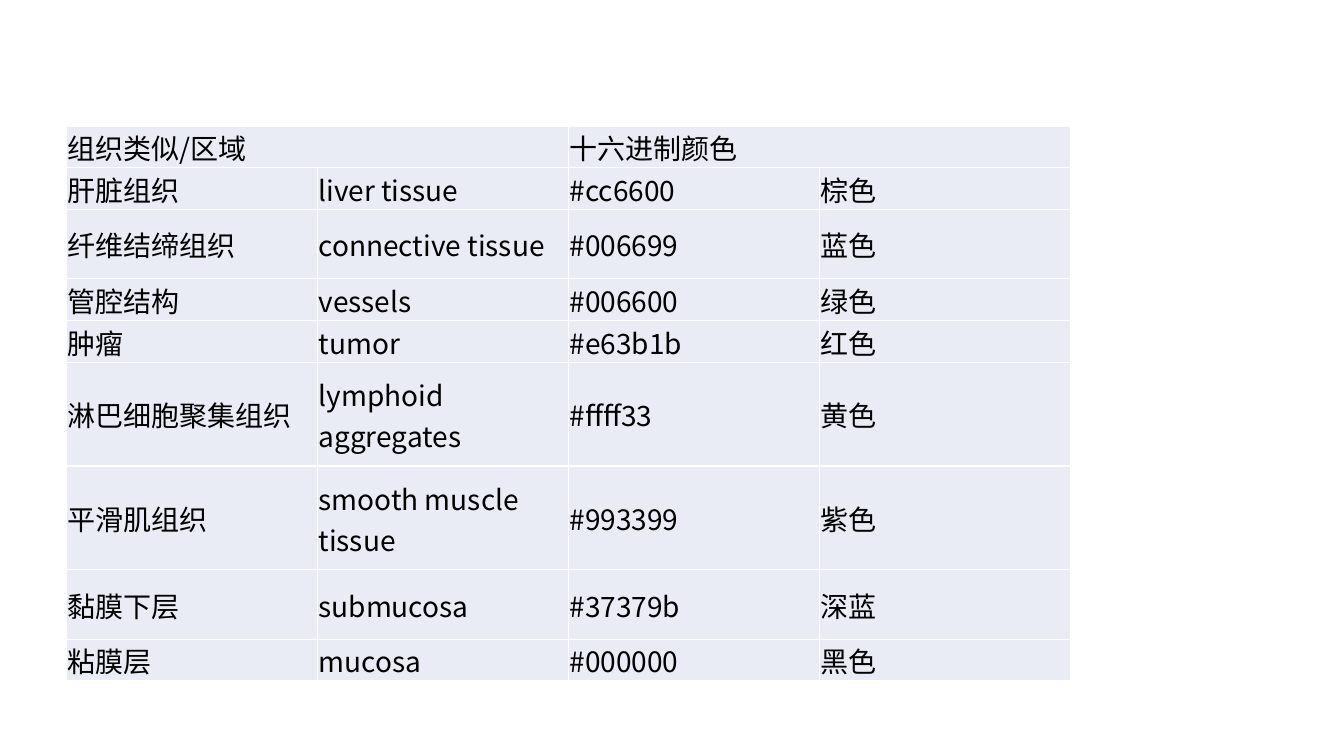
from lxml import etree
from pptx import Presentation
from pptx.dml.color import RGBColor
from pptx.enum.text import MSO_ANCHOR
from pptx.oxml import parse_xml
from pptx.oxml.ns import nsdecls, qn
from pptx.util import Inches, Pt

FONT = "Noto Sans CJK SC"
ROW_HEIGHTS = [0.36, 0.36, 0.69, 0.36, 0.36, 1.03, 1.03, 0.69, 0.36]
COLUMN_WIDTH = 2.49
TISSUE_ROWS = [
    ["组织类似/区域", "", "十六进制颜色", ""],
    ["肝脏组织", "liver tissue", "#cc6600", "棕色"],
    ["纤维结缔组织", "connective tissue", "#006699", "蓝色"],
    ["管腔结构", "vessels", "#006600", "绿色"],
    ["肿瘤", "tumor", "#e63b1b", "红色"],
    ["淋巴细胞聚集组织", "lymphoid aggregates", "#ffff33", "黄色"],
    ["平滑肌组织", "smooth muscle tissue", "#993399", "紫色"],
    ["黏膜下层", "submucosa", "#37379b", "深蓝"],
    ["粘膜层", "mucosa", "#000000", "黑色"],
]


def color(value):
    return RGBColor.from_string(value)


def write_text(cell, text, size=20, font=FONT, font_color="000000"):
    run = cell.text_frame.paragraphs[0].add_run()
    run.text = text
    run.font.size = Pt(size)
    run.font.name = font
    run.font.bold = False
    run.font.color.rgb = color(font_color)
    east_asian = etree.SubElement(run.font._element, qn("a:ea"))
    east_asian.set("typeface", font)


presentation = Presentation()
presentation.slide_width = Inches(13.33)
presentation.slide_height = Inches(7.5)
slide = presentation.slides.add_slide(presentation.slide_layouts[6])

table = slide.shapes.add_table(
    len(TISSUE_ROWS), 4, Inches(0.66), Inches(1.25),
    Inches(4 * COLUMN_WIDTH), Inches(sum(ROW_HEIGHTS)),
).table
table.first_row = False
table.horz_banding = False
for column in table.columns:
    column.width = Inches(COLUMN_WIDTH)
for row, height in zip(table.rows, ROW_HEIGHTS):
    row.height = Inches(height)

for row_index, texts in enumerate(TISSUE_ROWS):
    for column_index, text in enumerate(texts):
        cell = table.cell(row_index, column_index)
        cell.margin_left = cell.margin_right = cell.margin_top = Inches(0.01)
        cell.margin_bottom = 0
        cell.vertical_anchor = MSO_ANCHOR.MIDDLE
        for side in ("lnL", "lnR", "lnT", "lnB"):
            cell._tc.get_or_add_tcPr().append(parse_xml(
                f'<a:{side} {nsdecls("a")} w="{Pt(1)}"><a:solidFill>'
                f'<a:srgbClr val="FFFFFF"/></a:solidFill></a:{side}>'
            ))
        cell.fill.solid()
        cell.fill.fore_color.rgb = color("E9EBF5")
        if text:
            write_text(cell, text)

for first_column in (0, 2):
    table.cell(0, first_column).merge(table.cell(0, first_column + 1))

presentation.save("out.pptx")
